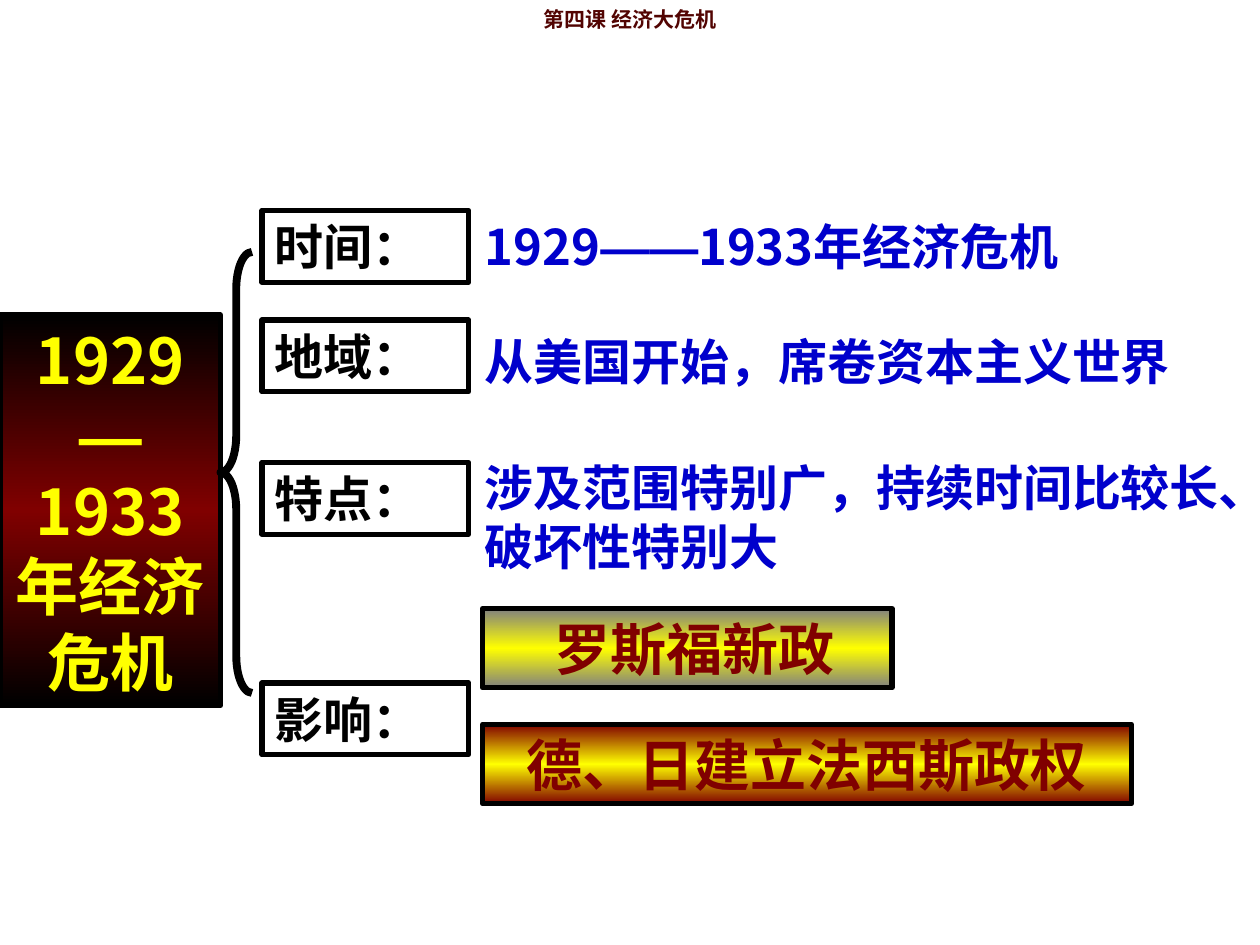
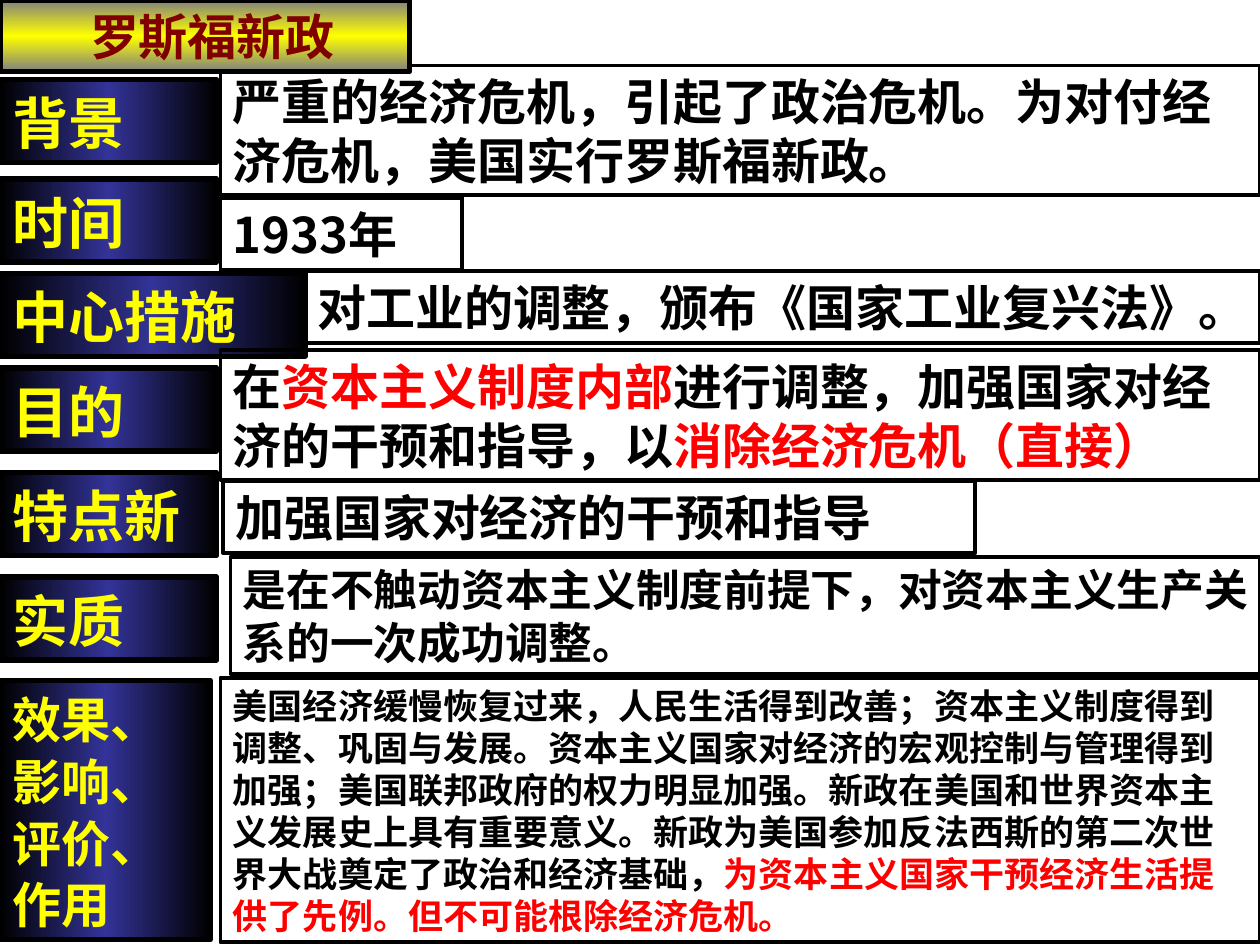
from copy import deepcopy

from lxml import etree
from pptx import Presentation
from pptx.dml.color import RGBColor
from pptx.enum.shapes import MSO_SHAPE
from pptx.enum.text import MSO_ANCHOR, MSO_AUTO_SIZE, PP_ALIGN
from pptx.oxml.ns import qn
from pptx.util import Inches, Pt

RECT, BRACE = MSO_SHAPE.RECTANGLE, MSO_SHAPE.LEFT_BRACE
TOP, MIDDLE = MSO_ANCHOR.TOP, MSO_ANCHOR.MIDDLE
LEFT, CENTER = PP_ALIGN.LEFT, PP_ALIGN.CENTER
GROW = MSO_AUTO_SIZE.SHAPE_TO_FIT_TEXT

BLACK = RGBColor(0x00, 0x00, 0x00)
MAROON = RGBColor(0x80, 0x00, 0x00)
DARK_RED = RGBColor(0x52, 0x04, 0x02)
RED = RGBColor(0xFF, 0x00, 0x00)
YELLOW = RGBColor(0xFF, 0xFF, 0x00)
GREY = RGBColor(0x80, 0x80, 0x80)
BLUE = RGBColor(0x00, 0x00, 0xCC)
NAVY = RGBColor(0x33, 0x33, 0x99)
FONT, DASH_FONT = "Noto Sans CJK SC", "Arial"


class Deck:
    """Holds the presentation, its style and the current slide."""

    def __init__(self):
        self.prs = Presentation()
        self.prs.slide_width, self.prs.slide_height = Inches(10), Inches(7.5)

    def new_slide(self):
        self.s = self.prs.slides.add_slide(self.prs.slide_layouts[6])

    def set_text(self, sp, text, size, color, align=LEFT, anchor=TOP, spacing=None):
        tf = sp.text_frame
        tf.word_wrap = True
        tf.auto_size = GROW
        tf.vertical_anchor = anchor
        p = tf.paragraphs[0]
        p.alignment = align
        if spacing:
            p.line_spacing = spacing
        p.font.size, p.font.bold, p.font.name = Pt(size), True, FONT
        p.font.color.rgb = color
        default = p._p.pPr.find(qn("a:defRPr"))
        etree.SubElement(default, qn("a:ea"), typeface=FONT)
        for part in [text] if isinstance(text, str) else text:
            r = p.add_run()
            if isinstance(part, str):
                r.text = part
            else:
                r.text, run_color = part
                r.font.color.rgb = run_color
            if set(r.text) == {"—"}:
                r.font.name = DASH_FONT

    def label(self, x, y, w, h, text, size, color, **style):
        sp = self.s.shapes.add_textbox(Inches(x), Inches(y), Inches(w), Inches(h))
        self.set_text(sp, text, size, color, **style)

    def outline(self, kind, x, y, w, h, width):
        sp = self.s.shapes.add_shape(kind, Inches(x), Inches(y), Inches(w), Inches(h))
        sp.shadow.inherit = False
        sp.fill.background()
        sp.line.color.rgb = BLACK
        sp.line.width = Pt(width)
        return sp

    def box(self, x, y, w, h, text, size=28, color=BLACK, width=2.25, **style):
        sp = self.outline(RECT, x, y, w, h, width)
        self.set_text(sp, text, size, color, **style)
        return sp

    def band(self, x, y, w, h, text, size, color, edge, core, angle=90, **style):
        sp = self.box(x, y, w, h, text, size, color, 3, **style)
        sp.fill.gradient()
        sp.fill.gradient_angle = angle
        stops = sp._element.spPr.find(".//" + qn("a:gsLst"))
        stops.insert(1, deepcopy(stops[0]))
        for stop, place, shade in zip(sp.fill.gradient_stops, (0, 0.5, 1), (edge, core, edge)):
            stop.position = place
            stop.color.rgb = shade
        return sp

    def new_deal(self, x, y, w, h, size):
        sp = self.band(x, y, w, h, "罗斯福新政", size, MAROON, GREY, YELLOW, align=CENTER)
        sp.text_frame.margin_left = Inches(0.22)

    def brace(self, x, y, w, h):
        sp = self.outline(BRACE, x, y, w, h, 4.5)
        sp.adjustments[0] = 1.17


def crisis_slide(deck):
    deck.new_slide()
    deck.label(0, 0, 10, 0.3, "第四课 经济大危机", 12, DARK_RED, align=CENTER)
    deck.band(0, 2.5, 1.75, 3.1, ["1929", "—", "1933年经济危机"], 36, YELLOW,
              BLACK, MAROON, align=CENTER)
    deck.brace(1.75, 2, 0.25, 3.5)
    for y, topic in ((1.67, "时间："), (2.54, "地域："), (3.67, "特点："), (5.42, "影响：")):
        deck.box(2.08, y, 1.64, 0.57, topic, width=3)
    deck.new_deal(3.83, 4.83, 3.25, 0.63, 32)
    deck.band(3.83, 5.75, 5.15, 0.63, "德、日建立法西斯政权", 32, MAROON,
              MAROON, YELLOW, align=CENTER)
    for y, h, answer in (
        (1.67, 0.57, ["1929", "——", "1933年经济危机"]),
        (2.58, 0.57, "从美国开始，席卷资本主义世界"),
        (3.58, 1.03, "涉及范围特别广，持续时间比较长、破坏性特别大"),
    ):
        deck.label(3.75, y, 6.25, h, answer, 28, BLUE)


def new_deal_slide(deck):
    deck.new_slide()
    deck.box(1.83, 4.42, 8.17, 0.93,
             "是在不触动资本主义制度前提下，对资本主义生产关系的一次成功调整。", 25)
    for y, w, h, topic, size in (
        (0.63, 1.72, 0.66, "背景", 32),
        (1.42, 1.72, 0.66, "时间", 32),
        (2.17, 2.42, 0.66, "中心措施", 32),
        (2.92, 1.72, 0.66, "目的", 32),
        (3.75, 1.72, 0.66, "特点新", 32),
        (4.58, 1.72, 0.66, "实质", 32),
        (5.4, 1.67, 2.06, "效果、影响、评价、作用", 28),
    ):
        deck.band(0, y, w, h, topic, size, YELLOW, BLACK, NAVY, angle=0, spacing=1.05)
    deck.box(1.75, 0.52, 8.25, 1.03,
             "严重的经济危机，引起了政治危机。为对付经济危机，美国实行罗斯福新政。", anchor=MIDDLE)
    deck.new_deal(0, 0, 3.25, 0.57, 28)
    for x, y, w, h, text, size in (
        (1.75, 2.78, 8.25, 1.03,
         ["在", ("资本主义制度内部", RED), "进行调整，加强国家对经济的干预和指导，以",
          ("消除经济危机（直接）", RED)], 28),
        (1.77, 3.82, 5.97, 0.57, "加强国家对经济的干预和指导", 28),
        (2.42, 2.15, 7.58, 0.57, "对工业的调整，颁布《国家工业复兴法》。", 28),
        (1.75, 5.38, 8.25, 2.1,
         ["美国经济缓慢恢复过来，人民生活得到改善；资本主义制度得到调整、巩固与发展。"
          "资本主义国家对经济的宏观控制与管理得到加强；美国联邦政府的权力明显加强。"
          "新政在美国和世界资本主义发展史上具有重要意义。"
          "新政为美国参加反法西斯的第二次世界大战奠定了政治和经济基础，",
          ("为资本主义国家干预经济生活提供了先例。但不可能根除经济危机。", RED)], 20),
        (1.75, 1.57, 1.92, 0.57, "1933年", 28),
    ):
        deck.box(x, y, w, h, text, size, anchor=MIDDLE)


def main():
    deck = Deck()
    crisis_slide(deck)
    new_deal_slide(deck)
    deck.prs.save("out.pptx")


if __name__ == "__main__":
    main()
